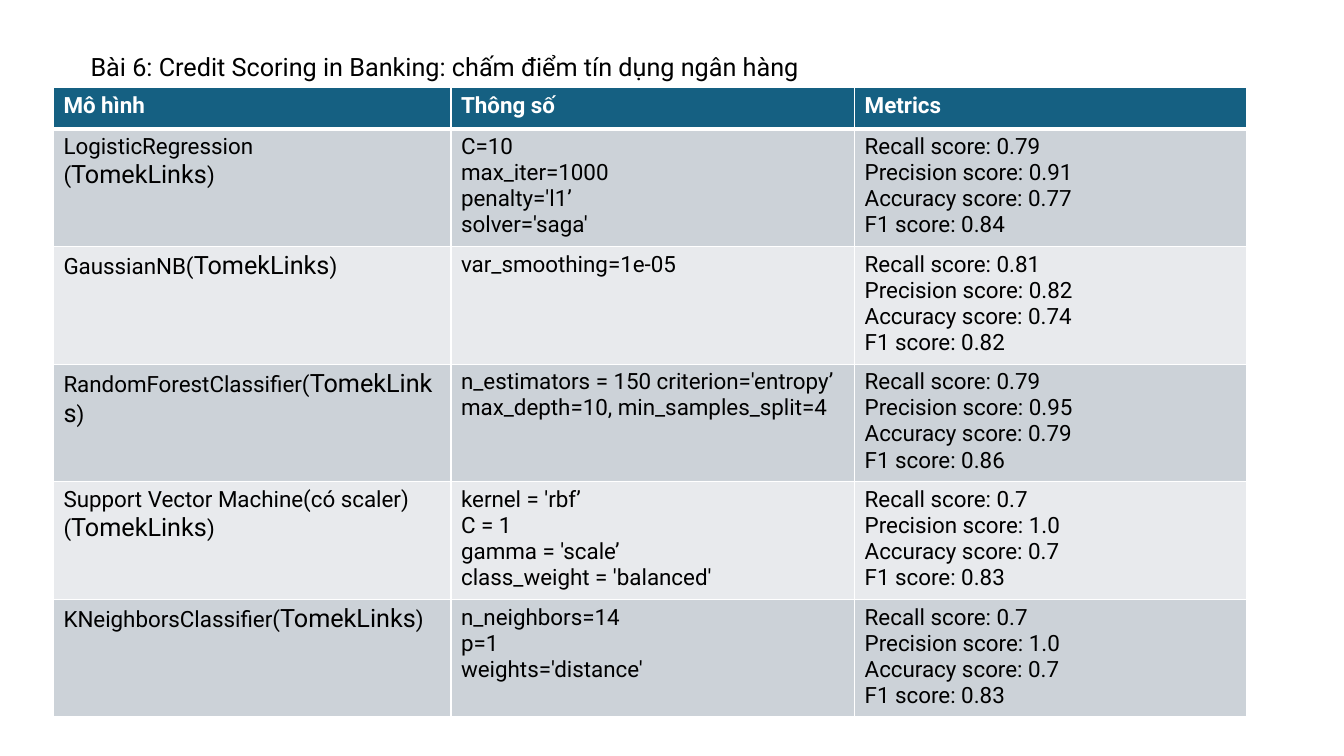
from dataclasses import dataclass

from lxml.etree import SubElement
from pptx import Presentation
from pptx.dml.color import RGBColor
from pptx.oxml.ns import qn
from pptx.util import Inches, Pt


@dataclass(frozen=True)
class Theme:
    font: str = "Roboto"
    ink: str = "000000"
    white: str = "FFFFFF"
    header: str = "156082"
    bands: tuple = ("CCD2D8", "E8EAED")
    large: int = 18
    body: int = 16
    rule: int = 1
    header_rule: int = 3


THEME = Theme()
TITLE = "Bài 6: Credit Scoring in Banking: chấm điểm tín dụng ngân hàng"
HEADINGS = ("Mô hình", "Thông số", "Metrics")
COLUMN_WIDTHS = (3.94, 4, 3.88)
HEADER_HEIGHT = 0.41
METRICS = ("Recall", "Precision", "Accuracy", "F1")
SAMPLER = "TomekLinks"

# Model name lines (the sampler follows the last), parameters, scores
MODELS = (
    (("LogisticRegression", "("),
     ("C=10", "max_iter=1000", "penalty='l1’", "solver='saga'"),
     (0.79, 0.91, 0.77, 0.84)),
    (("GaussianNB(",),
     ("var_smoothing=1e-05",),
     (0.81, 0.82, 0.74, 0.82)),
    (("RandomForestClassifier(",),
     ("n_estimators = 150 criterion='entropy’", "max_depth=10, min_samples_split=4"),
     (0.79, 0.95, 0.79, 0.86)),
    (("Support Vector Machine(có scaler) (",),
     ("kernel = 'rbf’", "C = 1", "gamma = 'scale’", "class_weight = 'balanced'"),
     (0.7, 1.0, 0.7, 0.83)),
    (("KNeighborsClassifier(",),
     ("n_neighbors=14", "p=1", "weights='distance'"),
     (0.7, 1.0, 0.7, 0.83)),
)


def add_run(paragraph, text, size=THEME.body, color=THEME.ink, bold=False):
    run = paragraph.add_run()
    run.text = text
    font = run.font
    font.name, font.size, font.bold = THEME.font, Pt(size), bold
    font.color.rgb = RGBColor.from_string(color)


def add_lines(frame, lines, **style):
    for index, line in enumerate(lines):
        paragraph = frame.add_paragraph() if index else frame.paragraphs[0]
        add_run(paragraph, line, **style)


def style_cell(cell, fill, top=THEME.rule, bottom=THEME.rule):
    # Borders come before the fill in the cell properties
    properties = cell._tc.get_or_add_tcPr()
    widths = {"a:lnL": THEME.rule, "a:lnR": THEME.rule, "a:lnT": top, "a:lnB": bottom}
    for side, width in widths.items():
        border = SubElement(properties, qn(side), w=str(Pt(width)))
        SubElement(SubElement(border, qn("a:solidFill")), qn("a:srgbClr"), val=THEME.white)
    cell.fill.solid()
    cell.fill.fore_color.rgb = RGBColor.from_string(fill)


def add_title(slide, left, top, width, height):
    title = slide.shapes.add_textbox(*map(Inches, (left, top, width, height)))
    frame = title.text_frame
    frame.word_wrap = True
    add_run(frame.paragraphs[0], TITLE, size=THEME.large)


def add_model_table(slide, left, top, width, height):
    table = slide.shapes.add_table(
        len(MODELS) + 1, len(HEADINGS), *map(Inches, (left, top, width, height))).table
    for column, share in zip(table.columns, COLUMN_WIDTHS):
        column.width = Inches(width * share / sum(COLUMN_WIDTHS))
    for row in table.rows:
        row.height = Inches((height - HEADER_HEIGHT) / len(MODELS))
    table.rows[0].height = Inches(HEADER_HEIGHT)

    # Header row
    for column, heading in enumerate(HEADINGS):
        cell = table.cell(0, column)
        style_cell(cell, THEME.header, bottom=THEME.header_rule)
        add_lines(cell.text_frame, [heading], color=THEME.white, bold=True)

    # One row per model
    for row, (name, parameters, scores) in enumerate(MODELS, start=1):
        results = [f"{metric} score: {score}" for metric, score in zip(METRICS, scores)]
        for column, lines in enumerate((name, parameters, results)):
            cell = table.cell(row, column)
            style_cell(cell, THEME.bands[(row - 1) % 2],
                       top=THEME.header_rule if row == 1 else THEME.rule)
            add_lines(cell.text_frame, lines)
        sampler_line = table.cell(row, 0).text_frame.paragraphs[-1]
        add_run(sampler_line, SAMPLER, size=THEME.large)
        add_run(sampler_line, ")")


def main():
    deck = Presentation()
    deck.slide_width, deck.slide_height = Inches(13.33), Inches(7.5)
    slide = deck.slides.add_slide(deck.slide_layouts[6])
    add_title(slide, 0.8, 0.46, 7.5, 0.4)
    add_model_table(slide, 0.53, 0.87, 11.83, 6.24)
    deck.save("out.pptx")


if __name__ == "__main__":
    main()
